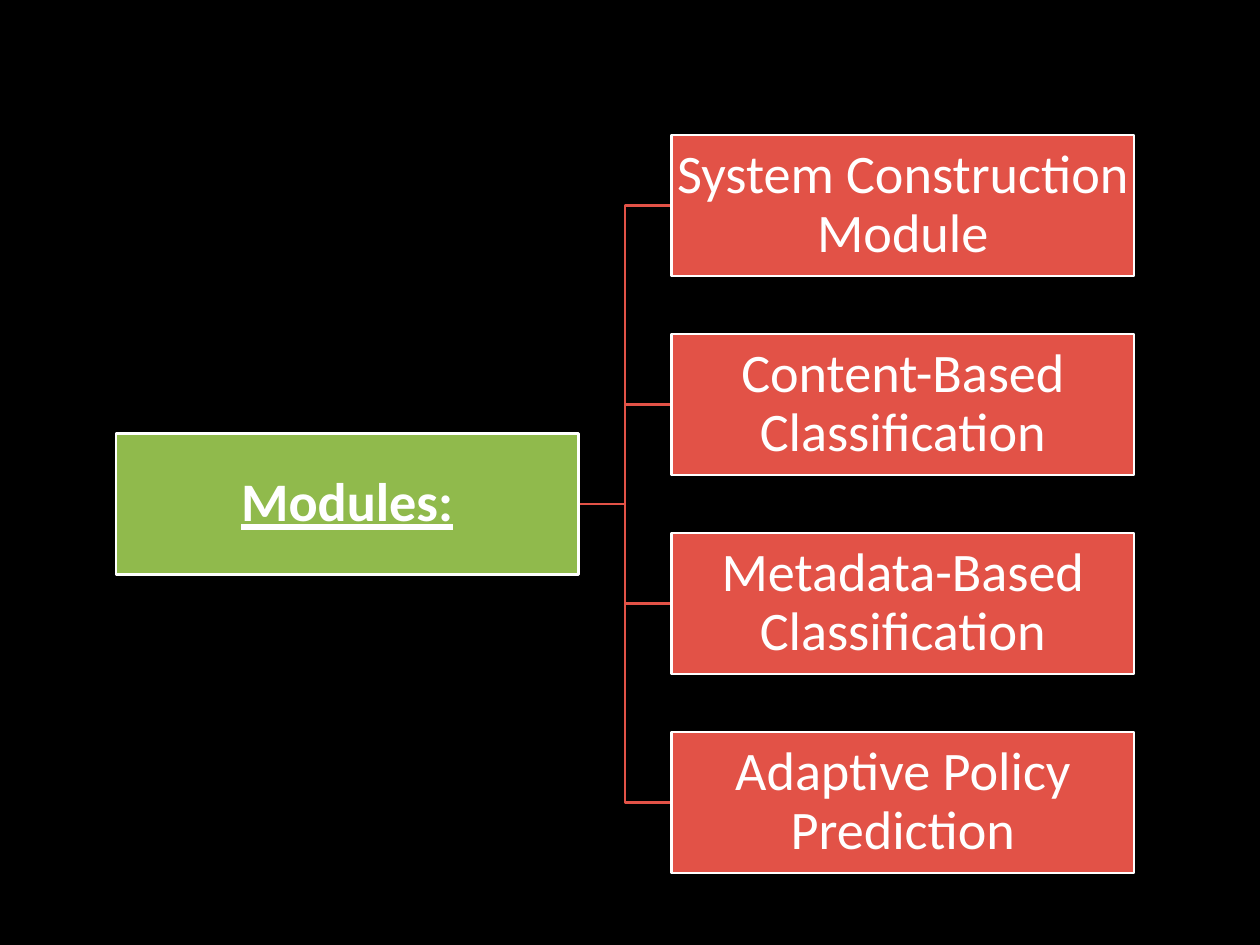
from pptx import Presentation
from pptx.dml.color import RGBColor
from pptx.enum.shapes import MSO_SHAPE as Shape
from pptx.enum.text import MSO_ANCHOR as Anchor, PP_ALIGN as Align
from pptx.util import Inches, Pt

RED, GREEN, WHITE, BLACK = "E25247", "90BA4C", "FFFFFF", "000000"
LEFT, RIGHT, TOP = 0.92, 5.33, 1.07
WIDE, HIGH, STEP = 3.67, 1.12, 1.58
TOPICS = [
    "System Construction Module",
    "Content-Based Classification",
    "Metadata-Based Classification",
    "Adaptive Policy Prediction",
]


def paint(style, color):
    style.solid()
    style.fore_color.rgb = RGBColor.from_string(color)


def add_box(text, left, top, color):
    box = slide.shapes.add_shape(
        Shape.RECTANGLE, Inches(left), Inches(top), Inches(WIDE), Inches(HIGH))
    box.shadow.inherit = False
    paint(box.fill, color)
    paint(box.line.fill, WHITE)
    box.line.width = Pt(1.5)
    frame = box.text_frame
    frame.word_wrap = True
    frame.vertical_anchor = Anchor.MIDDLE
    frame.margin_left = frame.margin_right = Inches(0.02)
    frame.margin_top = frame.margin_bottom = Inches(0.02)
    frame.text = text
    para = frame.paragraphs[0]
    para.alignment = Align.CENTER
    para.line_spacing = 0.9
    para.font.name = "Calibri"
    para.font.size = Pt(31)
    paint(para.font.fill, WHITE)
    return para


prs = Presentation()
prs.slide_width, prs.slide_height = Inches(10), Inches(7.5)
slide = prs.slides.add_slide(prs.slide_layouts[6])
paint(slide.background.fill, BLACK)

tops = [TOP + row * STEP for row in range(len(TOPICS))]
root = (tops[0] + tops[-1]) / 2
start = LEFT + WIDE
bend = (start + RIGHT) / 2
hub = root + HIGH / 2

for top in reversed(tops):
    end = top + HIGH / 2
    pen = slide.shapes.build_freeform(Inches(start), Inches(hub))
    points = [(bend, hub), (bend, end), (RIGHT, end)]
    pen.add_line_segments([(Inches(x), Inches(y)) for x, y in points], close=False)
    branch = pen.convert_to_shape()
    branch.shadow.inherit = False
    branch.fill.background()
    paint(branch.line.fill, RED)
    branch.line.width = Pt(1.5)

head = add_box("Modules:", LEFT, root, GREEN)
head.font.bold = head.font.underline = True
for topic, top in zip(TOPICS, tops):
    add_box(topic, RIGHT, top, RED)

prs.save("out.pptx")
